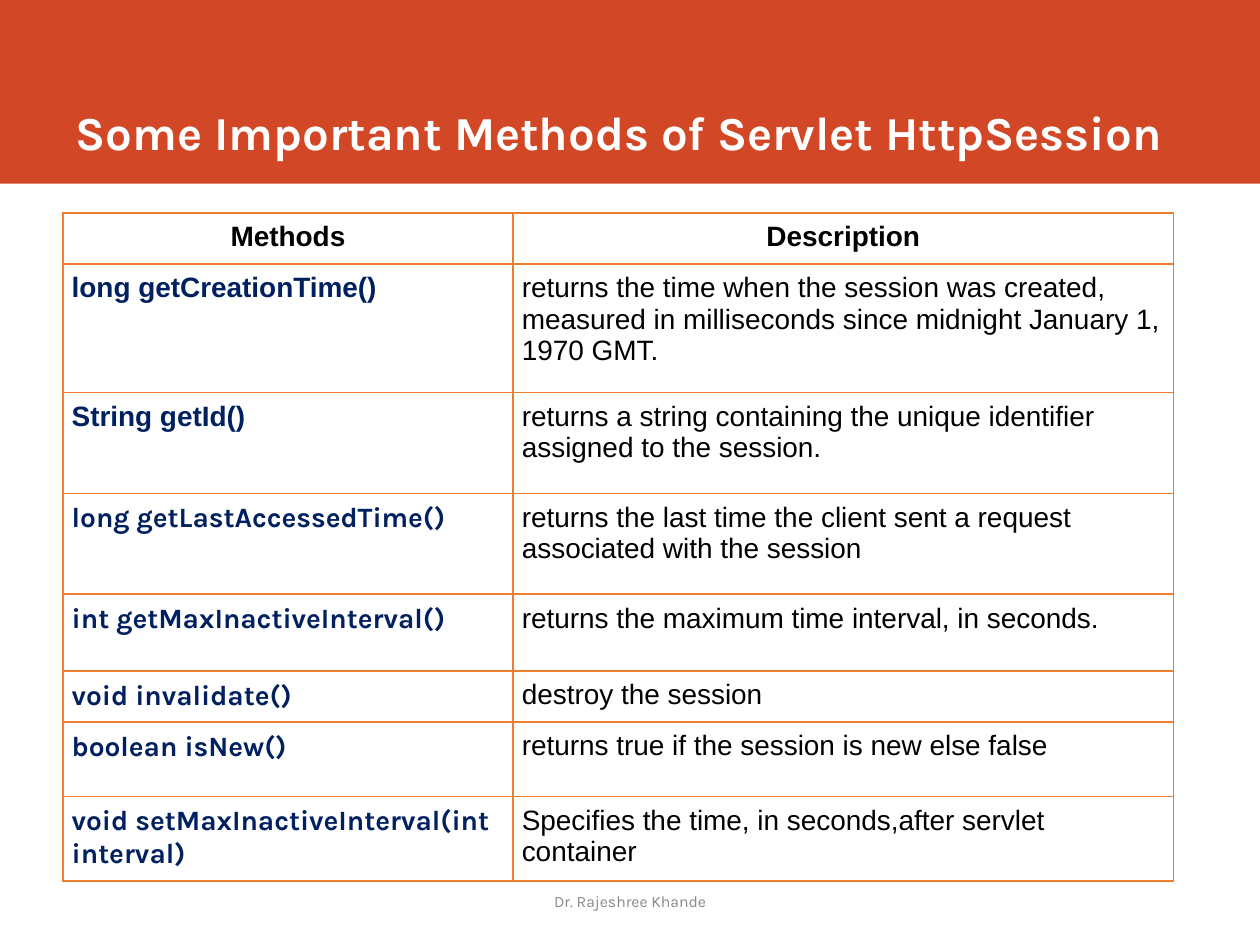
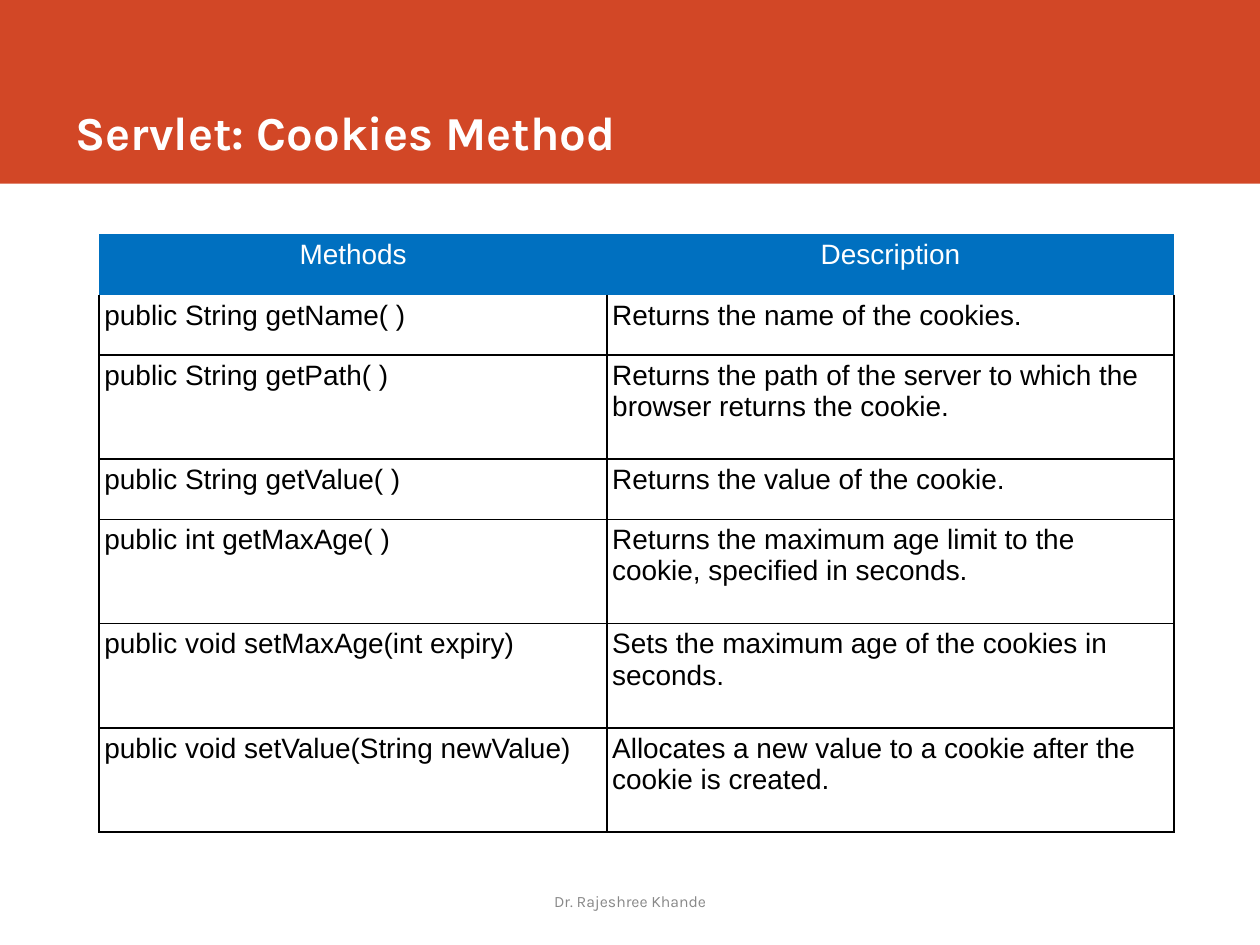
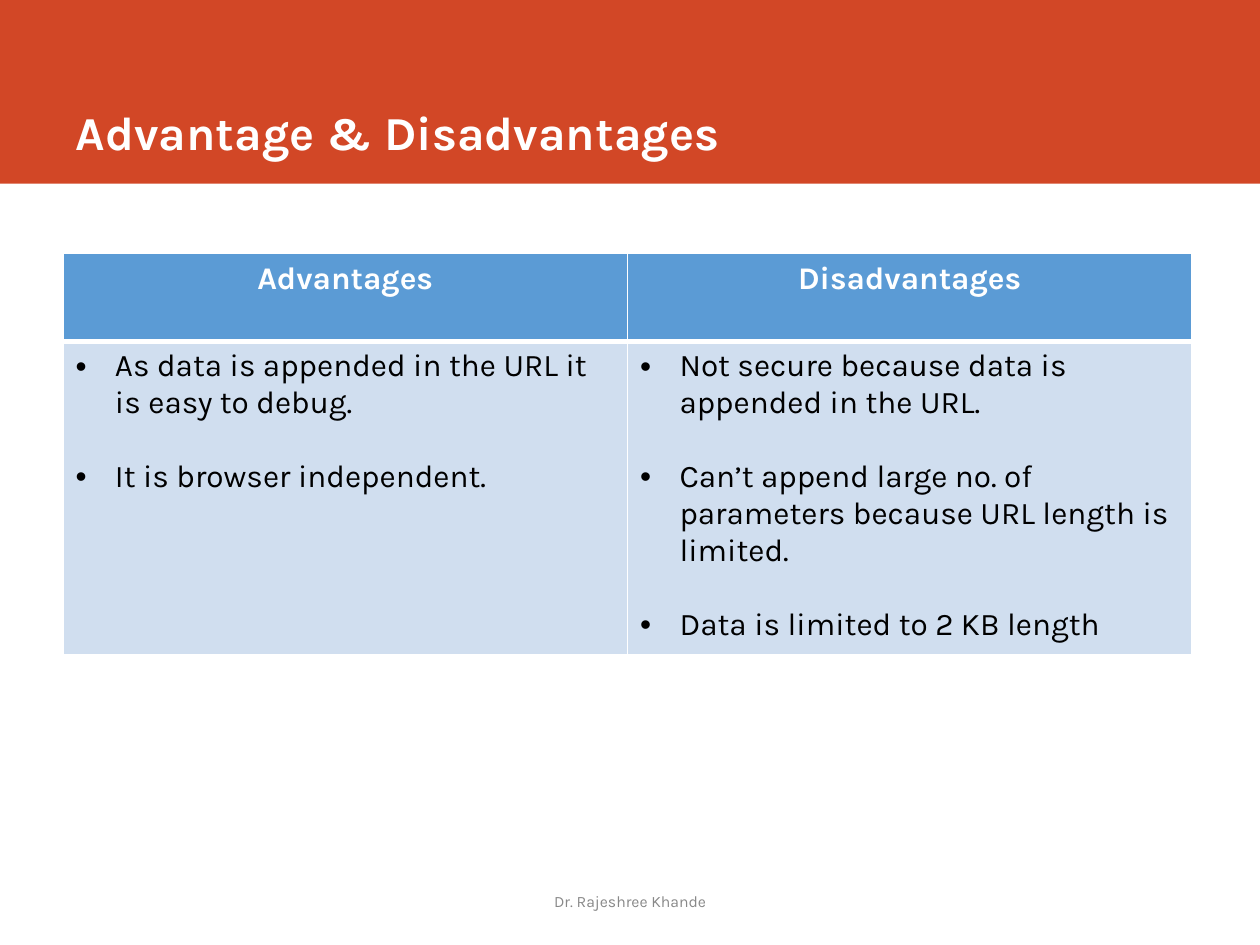
"""Builds three slides on servlet session, cookie and URL rewriting methods."""
from lxml import etree
from pptx import Presentation
from pptx.dml.color import RGBColor
from pptx.enum import shapes, text
from pptx.oxml import ns
from pptx.util import Pt

COLOURS = {
    "band": "D24726", "white": "FFFFFF", "black": "000000", "footer": "888888",
    "method": "002060", "session_line": "ED7D31", "cookie_head": "0070C0",
    "url_head": "5B9BD5", "url_body": "D0DEEF",
}
SERIF_FREE, BRAND = "Arial", "Karla"
SIDES = "LRTB"

SESSION_METHODS = [
    ("long getCreationTime()", "returns the time when the session was created, "
     "measured in milliseconds since midnight January 1, 1970 GMT.", SERIF_FREE, 73.4),
    ("String getId()", "returns a string containing the unique identifier "
     "assigned to the session.", SERIF_FREE, 57.6),
    ("long getLastAccessedTime()", "returns the last time the client sent a request "
     "associated with the session", BRAND, 57.6),
    ("int getMaxInactiveInterval()", "returns the maximum time interval, in seconds.",
     BRAND, 43.9),
    ("void invalidate()", "destroy the session", BRAND, 28),
    ("boolean isNew()", "returns true if the session is new else false", BRAND, 42.5),
    ("void setMaxInactiveInterval(int interval)",
     "Specifies the time, in seconds,after servlet container", BRAND, 44),
]
COOKIE_ONE_LINE, COOKIE_TWO_LINES = 34.4, 59.6
COOKIE_METHODS = [
    ("public String getName( )", "Returns the name of the cookies.", COOKIE_ONE_LINE),
    ("public String getPath( )", "Returns the path of the server to which the "
     "browser returns the cookie.", COOKIE_TWO_LINES),
    ("public String getValue( )", "Returns the value of the cookie.", COOKIE_ONE_LINE),
    ("public int getMaxAge( )", "Returns the maximum age limit to the cookie, "
     "specified in seconds.", COOKIE_TWO_LINES),
    ("public void setMaxAge(int expiry)",
     "Sets the maximum age of the cookies in seconds.", COOKIE_TWO_LINES),
    ("public void setValue(String newValue)", "Allocates a new value to a cookie "
     "after the cookie is created.", COOKIE_TWO_LINES),
]
URL_POINTS = {
    "Advantages": ["As data is appended in the URL it is easy to debug.",
                   "It is browser independent."],
    "Disadvantages": ["Not secure because data is appended in the URL.",
                      "Can’t append large no. of parameters because URL length is limited.",
                      "Data is limited to 2 KB length"],
}


def rgb(name):
    return RGBColor.from_string(COLOURS[name])


def format_text(frame, size, font, colour, bold=False, align=text.PP_ALIGN.LEFT):
    for paragraph in frame.paragraphs:
        paragraph.alignment = align
        for run in paragraph.runs:
            run.font.size = Pt(size)
            run.font.name = font
            run.font.bold = bold
            run.font.color.rgb = rgb(colour)


def add_band(slide):
    band = slide.shapes.add_shape(shapes.MSO_SHAPE.RECTANGLE, 0, 0, Pt(720), Pt(105))
    band.shadow.inherit = False
    band.fill.solid()
    band.fill.fore_color.rgb = rgb("band")
    band.line.fill.background()
    slide.slide_layout.shapes.element.insert(2, band.element)


def add_footer(slide):
    author = slide.shapes.add_textbox(Pt(274.5), Pt(500.5), Pt(171), Pt(28.75))
    author.text_frame.word_wrap = True
    author.text_frame.vertical_anchor = text.MSO_ANCHOR.MIDDLE
    author.text_frame.text = "Dr. Rajeshree Khande"
    format_text(author.text_frame, 9, BRAND, "footer", align=text.PP_ALIGN.CENTER)


def add_titled_slide(deck, heading):
    slide = deck.slides.add_slide(deck.slide_layouts[5])
    title = slide.shapes.title
    title.left, title.top, title.width, title.height = Pt(36), 0, Pt(635), Pt(95)
    title.text_frame.text = heading
    title.text_frame.word_wrap = True
    title.text_frame.auto_size = text.MSO_AUTO_SIZE.NONE
    title.text_frame.vertical_anchor = text.MSO_ANCHOR.BOTTOM
    format_text(title.text_frame, 27, BRAND, "white", bold=True)
    add_footer(slide)
    return slide


def add_grid(slide, left, top, widths, heights):
    frame = slide.shapes.add_table(len(heights), len(widths), Pt(left), Pt(top),
                                   Pt(sum(widths)), Pt(sum(heights)))
    grid = frame.table
    grid.first_row = grid.horz_banding = False
    for column, width in zip(grid.columns, widths):
        column.width = Pt(width)
    for row, height in zip(grid.rows, heights):
        row.height = Pt(height)
    return grid


def set_borders(cell, colour, widths):
    properties = cell._tc.get_or_add_tcPr()
    for position, side in enumerate(SIDES):
        line = etree.Element(ns.qn(f"a:ln{side}"))
        if side in widths:
            line.set("w", str(Pt(widths[side])))
            fill = etree.SubElement(line, ns.qn("a:solidFill"))
            etree.SubElement(fill, ns.qn("a:srgbClr"), val=COLOURS[colour])
        else:
            etree.SubElement(line, ns.qn("a:noFill"))
        properties.insert(position, line)


def fill_cell(cell, words, margins, line_colour, line_widths, fill=None, **style):
    cell.margin_left = cell.margin_right = Pt(margins[0])
    cell.margin_top = cell.margin_bottom = Pt(margins[1])
    cell.text_frame.text = words
    format_text(cell.text_frame, **style)
    if fill:
        cell.fill.solid()
        cell.fill.fore_color.rgb = rgb(fill)
    else:
        cell.fill.background()
    set_borders(cell, line_colour, line_widths)


def add_bullets(frame, gap):
    for number, paragraph in enumerate(frame.paragraphs):
        paragraph.space_before = Pt(gap if number else 0)
        properties = paragraph._p.get_or_add_pPr()
        properties.set("marL", str(Pt(22.5)))
        properties.set("indent", str(-Pt(22.5)))
        colour = etree.SubElement(properties, ns.qn("a:buClr"))
        etree.SubElement(colour, ns.qn("a:srgbClr"), val=COLOURS["black"])
        etree.SubElement(properties, ns.qn("a:buFont"), typeface=SERIF_FREE)
        etree.SubElement(properties, ns.qn("a:buChar"), char="•")


def add_session_table(slide):
    heights = [28] + [method[-1] for method in SESSION_METHODS]
    grid = add_grid(slide, 36, 121.7, [257.2, 377.4], heights)
    frame = dict(margins=(5, 5), line_colour="session_line",
                 line_widths=dict.fromkeys(SIDES, 1), size=16)
    for column, heading in enumerate(("Methods", "Description")):
        fill_cell(grid.cell(0, column), heading, font=SERIF_FREE, colour="black",
                  bold=True, align=text.PP_ALIGN.CENTER, **frame)
    for row, (method, meaning, font, _) in enumerate(SESSION_METHODS, 1):
        fill_cell(grid.cell(row, 0), method, font=font, colour="method", bold=True, **frame)
        fill_cell(grid.cell(row, 1), meaning, font=SERIF_FREE, colour="black", **frame)


def add_cookie_table(slide):
    heights = [COOKIE_ONE_LINE] + [method[-1] for method in COOKIE_METHODS]
    grid = add_grid(slide, 56.7, 134, [290.2, 324], heights)
    frame = dict(margins=(3, 3), line_colour="black", size=16, font=SERIF_FREE)
    for column, heading in enumerate(("Methods", "Description")):
        fill_cell(grid.cell(0, column), heading, line_widths={}, fill="cookie_head",
                  colour="white", align=text.PP_ALIGN.CENTER, **frame)
    for row, (method, meaning, _) in enumerate(COOKIE_METHODS, 1):
        sides = "LRB" if row == 1 else SIDES
        for column, words in enumerate((method, meaning)):
            fill_cell(grid.cell(row, column), words, colour="black",
                      line_widths=dict.fromkeys(sides, 1), **frame)


def add_url_table(slide):
    grid = add_grid(slide, 36, 145, [322.6, 322.6], [50.2, 175])
    frame = dict(margins=(7.2, 3.6), line_colour="white", size=18, font=BRAND)
    thin = dict.fromkeys(SIDES, 1)
    for column, (heading, points) in enumerate(URL_POINTS.items()):
        fill_cell(grid.cell(0, column), heading, line_widths={**thin, "B": 3},
                  fill="url_head", colour="white", bold=True,
                  align=text.PP_ALIGN.CENTER, **frame)
        body = grid.cell(1, column)
        fill_cell(body, "\n".join(points), line_widths={**thin, "T": 3},
                  fill="url_body", colour="black", **frame)
        add_bullets(body.text_frame, 21)


def main():
    deck = Presentation()
    deck.slide_width, deck.slide_height = Pt(720), Pt(540)
    session = add_titled_slide(deck, "Some Important Methods of Servlet HttpSession")
    add_band(session)
    add_session_table(session)
    add_cookie_table(add_titled_slide(deck, "Servlet: Cookies Method"))
    add_url_table(add_titled_slide(deck, "Advantage & Disadvantages"))
    deck.save("out.pptx")


if __name__ == "__main__":
    main()
